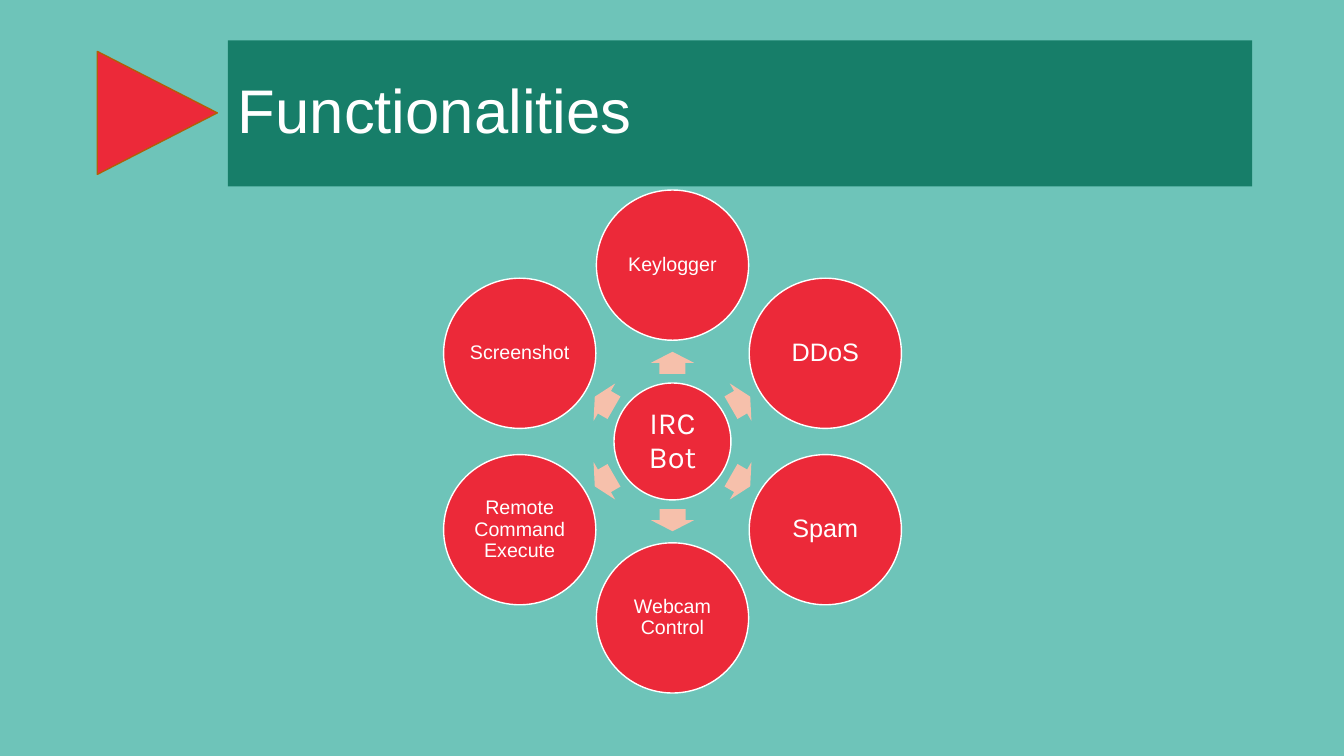
import math

import pptx
import pptx.util
import pptx.dml.color
import pptx.enum.shapes
import pptx.enum.text

Inches = pptx.util.Inches
Pt = pptx.util.Pt
RGBColor = pptx.dml.color.RGBColor
Shape = pptx.enum.shapes.MSO_SHAPE
Align = pptx.enum.text.PP_ALIGN

MINT = RGBColor(0x6E, 0xC4, 0xB9)
GREEN = RGBColor(0x17, 0x7E, 0x69)
RED = RGBColor(0xEC, 0x29, 0x39)
BROWN = RGBColor(0xB2, 0x5E, 0x07)
PEACH = RGBColor(0xF6, 0xC0, 0xAB)
WHITE = RGBColor(0xFF, 0xFF, 0xFF)


class Deck:
    font = "Arial"

    def __init__(self):
        self.deck = pptx.Presentation()
        self.deck.slide_width = Inches(13.33)
        self.deck.slide_height = Inches(7.5)
        self.slide = self.deck.slides.add_slide(self.deck.slide_layouts[5])
        fill = self.slide.background.fill
        fill.solid()
        fill.fore_color.rgb = MINT

    def label(self, shape, text, size, align, inset=None, font=None):
        frame = shape.text_frame
        frame.text = text
        frame.word_wrap = True
        frame.auto_size = pptx.enum.text.MSO_AUTO_SIZE.NONE
        frame.vertical_anchor = pptx.enum.text.MSO_ANCHOR.MIDDLE
        if inset is not None:
            frame.margin_left = frame.margin_right = Inches(inset)
            frame.margin_top = frame.margin_bottom = Inches(inset)
        para = frame.paragraphs[0]
        para.alignment = align
        para.line_spacing = 0.9
        style = para.runs[0].font
        style.name = font or self.font
        style.size = Pt(size)
        style.color.rgb = WHITE

    def title(self, text, left, top, width, height):
        box = self.slide.shapes.title
        box.left, box.top = Inches(left), Inches(top)
        box.width, box.height = Inches(width), Inches(height)
        box.fill.solid()
        box.fill.fore_color.rgb = GREEN
        self.label(box, text, 44, Align.LEFT)

    def shape(self, kind, x, y, width, height, fill, line=None, turn=0):
        item = self.slide.shapes.add_shape(
            kind, Inches(x - width / 2), Inches(y - height / 2),
            Inches(width), Inches(height))
        item.shadow.inherit = False
        item.rotation = turn
        item.fill.solid()
        item.fill.fore_color.rgb = fill
        if line is None:
            item.line.fill.background()
        else:
            item.line.color.rgb = line
            item.line.width = Pt(1)
        return item

    def disc(self, text, x, y, width, height, size, inset, font=None):
        item = self.shape(Shape.OVAL, x, y, width, height, RED, WHITE)
        self.label(item, text, size, Align.CENTER, inset, font)

    def arrow(self, x, y, turn):
        item = self.shape(Shape.RIGHT_ARROW, x, y, 0.22, 0.43, PEACH, turn=turn)
        item.adjustments[0] = 0.6
        item.adjustments[1] = 0.5

    def wheel(self, x, y, hub, spokes):
        self.disc(hub, x, y, 1.16, 1.16, 22, 0.03, "Karla")
        for i, (text, size, inset) in enumerate(spokes):
            turn = (270 + i * 360 / len(spokes)) % 360
            dx, dy = math.cos(math.radians(turn)), math.sin(math.radians(turn))
            self.arrow(x + 0.78 * dx, y + 0.78 * dy, turn)
            self.disc(text, x + 1.75 * dx, y + 1.75 * dy, 1.51, 1.49, size, inset)


def main():
    deck = Deck()
    deck.shape(Shape.ISOSCELES_TRIANGLE, 1.56, 1.12, 1.22, 1.19, RED, BROWN, 90)
    deck.title("Functionalities", 2.26, 0.4, 10.16, 1.45)
    deck.wheel(6.67, 4.38, "IRC Bot", [
        ("Keylogger", 14, 0.02),
        ("DDoS", 18, 0.03),
        ("Spam", 18, 0.03),
        ("Webcam Control", 14, 0.02),
        ("Remote Command Execute", 14, 0.02),
        ("Screenshot", 14, 0.02),
    ])
    deck.deck.save("out.pptx")


if __name__ == "__main__":
    main()
